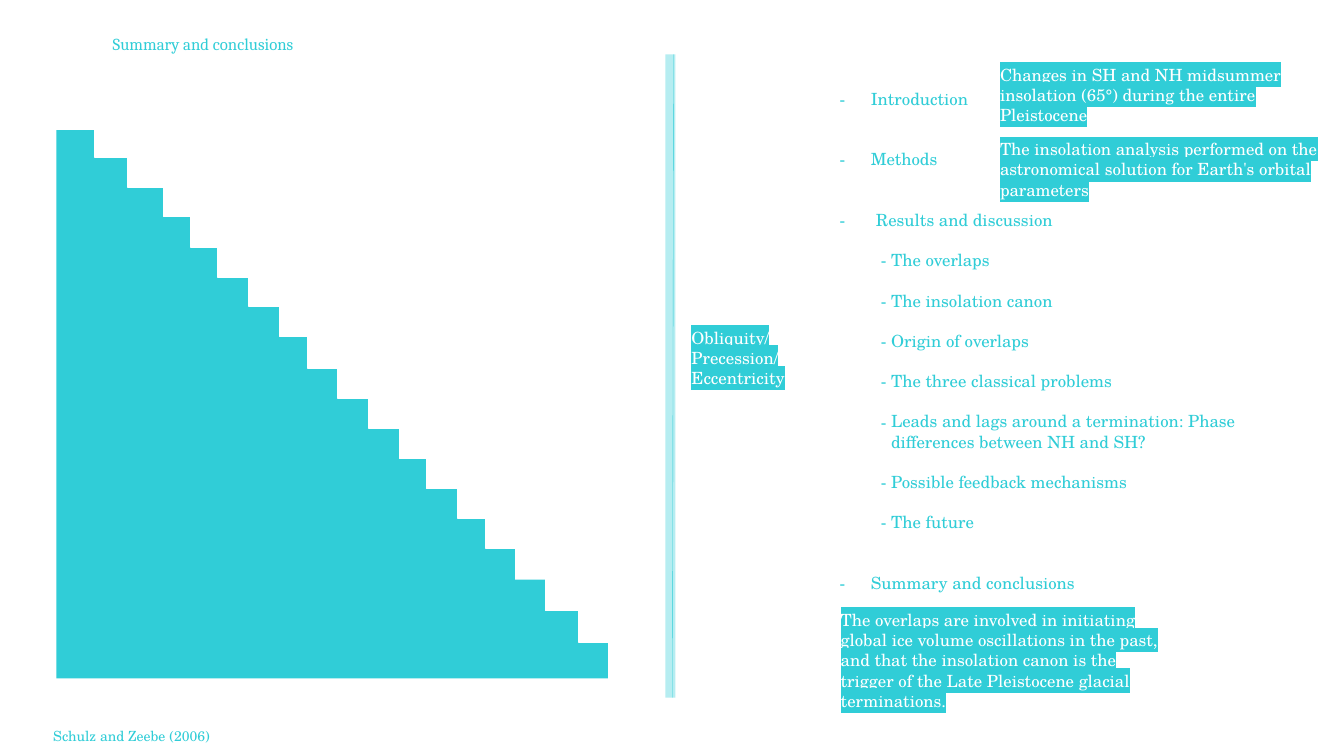
from dataclasses import dataclass

import lxml.etree
import pptx
import pptx.dml.color
import pptx.enum.shapes
import pptx.enum.text
import pptx.oxml.ns
import pptx.shapes.autoshape
import pptx.slide
import pptx.text.text
import pptx.util

EMU_PER_PX = 9144
TURQUOISE = "30CDD7"
WHITE = "FFFFFF"
SERIF = "TeX Gyre Schola"
LINE_HEIGHT = 14.4


@dataclass(frozen=True)
class Label:
    left: int
    top: int
    width: int
    height: int
    lines: tuple[str, ...]
    font: str = SERIF
    size: int = 12
    wrap: bool = True
    middle: bool = False
    highlighted: bool = False


@dataclass(frozen=True)
class OutlineItem:
    text: str
    blank_lines: int
    margin: int
    hanging: int


@dataclass(frozen=True)
class Block:
    left: int
    top: int
    width: int
    height: int
    fill: str = WHITE
    outlined: bool = True


STAIRCASE = (
    Block(56, 129, 662, 544, TURQUOISE, outlined=False),
    Block(77, 93, 539, 34), Block(94, 126, 522, 30), Block(127, 150, 490, 36),
    Block(162, 185, 455, 30), Block(189, 215, 427, 30), Block(216, 245, 400, 30),
    Block(247, 274, 369, 30), Block(277, 304, 341, 30), Block(305, 335, 311, 30),
    Block(335, 365, 281, 30), Block(366, 395, 263, 30), Block(396, 425, 220, 30),
    Block(423, 455, 220, 30), Block(454, 484, 162, 30), Block(482, 514, 134, 30),
    Block(511, 525, 119, 50, outlined=False), Block(541, 93, 176, 513),
    Block(574, 576, 220, 61), Block(605, 624, 99, 48), Block(604, 628, 113, 71),
)
DIVIDER_BAR = Block(660, 54, 10, 638, TURQUOISE, outlined=False)

LABELS = (
    Label(102, 29, 216, 30, ("Summary and conclusions",), font="Cambria", wrap=False),
    Label(43, 710, 200, 40, ("Schulz and Zeebe (2006)",), size=10, middle=True),
    Label(982, 59, 347, 71, (
        "Changes in SH and NH midsummer",
        "insolation (65°) during the entire Pleistocene",
    ), highlighted=True),
    Label(982, 133, 347, 71, (
        "The insolation analysis performed on the astronomical solution "
        "for Earth's orbital parameters",
    ), highlighted=True),
    Label(824, 600, 347, 91, (
        "The overlaps are involved in initiating global ice volume oscillations "
        "in the past, and that the insolation canon is the trigger of the "
        "Late Pleistocene glacial terminations.",
    ), highlighted=True),
    Label(676, 320, 186, 50, ("Obliquity/\vPrecession/\vEccentricity",), highlighted=True),
)

OUTLINE_BOX = Label(823, 83, 450, 545, ())
SUBTOPICS = (
    "The overlaps",
    "The insolation canon",
    "Origin of overlaps",
    "The three classical problems",
    "Leads and lags around a termination: Phase differences between NH and SH?",
    "Possible feedback mechanisms",
    "The future",
)
OUTLINE = (
    OutlineItem("Introduction", 0, 31, 31),
    OutlineItem("Methods", 2, 31, 31),
    OutlineItem("Results and discussion", 2, 36, 36),
    *(OutlineItem(text, 1, 51, 10) for text in SUBTOPICS),
    OutlineItem("Summary and conclusions", 2, 31, 31),
)


def px(length: int) -> pptx.util.Emu:
    return pptx.util.Emu(length * EMU_PER_PX)


def color(value: str) -> pptx.dml.color.RGBColor:
    return pptx.dml.color.RGBColor.from_string(value)


def add_child(parent: lxml.etree._Element, tag: str, **attributes: str) -> lxml.etree._Element:
    return lxml.etree.SubElement(parent, pptx.oxml.ns.qn(tag), attributes)


def draw_block(slide: pptx.slide.Slide, block: Block) -> pptx.shapes.autoshape.Shape:
    shape = slide.shapes.add_shape(
        pptx.enum.shapes.MSO_SHAPE.RECTANGLE,
        px(block.left), px(block.top), px(block.width), px(block.height),
    )
    shape.shadow.inherit = False
    shape.fill.solid()
    shape.fill.fore_color.rgb = color(block.fill)
    if block.outlined:
        shape.line.color.rgb = color(block.fill)
        shape.line.width = pptx.util.Pt(1)
    else:
        shape.line.fill.background()
    return shape


def draw_divider(slide: pptx.slide.Slide) -> None:
    bar = draw_block(slide, DIVIDER_BAR)
    fill_color = bar.element.spPr.find(".//" + pptx.oxml.ns.qn("a:srgbClr"))
    add_child(fill_color, "a:alpha", val="35000")

    line = slide.shapes.add_connector(
        pptx.enum.shapes.MSO_CONNECTOR.STRAIGHT, px(668), px(54), px(667), px(692)
    )
    line.line.color.rgb = color(TURQUOISE)
    line.line.width = pptx.util.Pt(0.25)
    add_child(line.element.spPr, "a:effectLst")


def add_text_frame(slide: pptx.slide.Slide, label: Label) -> pptx.text.text.TextFrame:
    box = slide.shapes.add_textbox(
        px(label.left), px(label.top), px(label.width), px(label.height)
    )
    frame = box.text_frame
    frame.word_wrap = label.wrap
    if label.middle:
        frame.vertical_anchor = pptx.enum.text.MSO_ANCHOR.MIDDLE
    return frame


def write_paragraph(
    frame: pptx.text.text.TextFrame, index: int, text: str, label: Label
) -> pptx.text.text._Paragraph:
    paragraph = frame.add_paragraph() if index else frame.paragraphs[0]
    paragraph.text = text
    paragraph.font.name = label.font
    paragraph.font.size = pptx.util.Pt(label.size)
    paragraph.font.color.rgb = color(WHITE if label.highlighted else TURQUOISE)
    return paragraph


def draw_label(slide: pptx.slide.Slide, label: Label) -> None:
    frame = add_text_frame(slide, label)
    for index, text in enumerate(label.lines):
        paragraph = write_paragraph(frame, index, text, label)
        if label.highlighted:
            for run in paragraph.runs:
                highlight = add_child(run.font._element, "a:highlight")
                add_child(highlight, "a:srgbClr", val=TURQUOISE)


def draw_outline(slide: pptx.slide.Slide) -> None:
    frame = add_text_frame(slide, OUTLINE_BOX)
    for index, item in enumerate(OUTLINE):
        paragraph = write_paragraph(frame, index, item.text, OUTLINE_BOX)
        paragraph.space_before = pptx.util.Pt(item.blank_lines * LINE_HEIGHT)
        properties = paragraph._p.get_or_add_pPr()
        properties.set("marL", str(px(item.margin)))
        properties.set("indent", str(-px(item.hanging)))
        bullet_font = add_child(properties, "a:buFont", typeface=SERIF)
        bullet = add_child(properties, "a:buChar", char="-")
        font = properties.find(pptx.oxml.ns.qn("a:defRPr"))
        font.addprevious(bullet_font)
        font.addprevious(bullet)


def main() -> None:
    presentation = pptx.Presentation()
    presentation.slide_width = px(1333)
    presentation.slide_height = px(750)
    slide = presentation.slides.add_slide(presentation.slide_layouts[6])
    for block in STAIRCASE:
        draw_block(slide, block)
    draw_outline(slide)
    draw_divider(slide)
    for label in LABELS:
        draw_label(slide, label)
    presentation.save("out.pptx")


if __name__ == "__main__":
    main()
